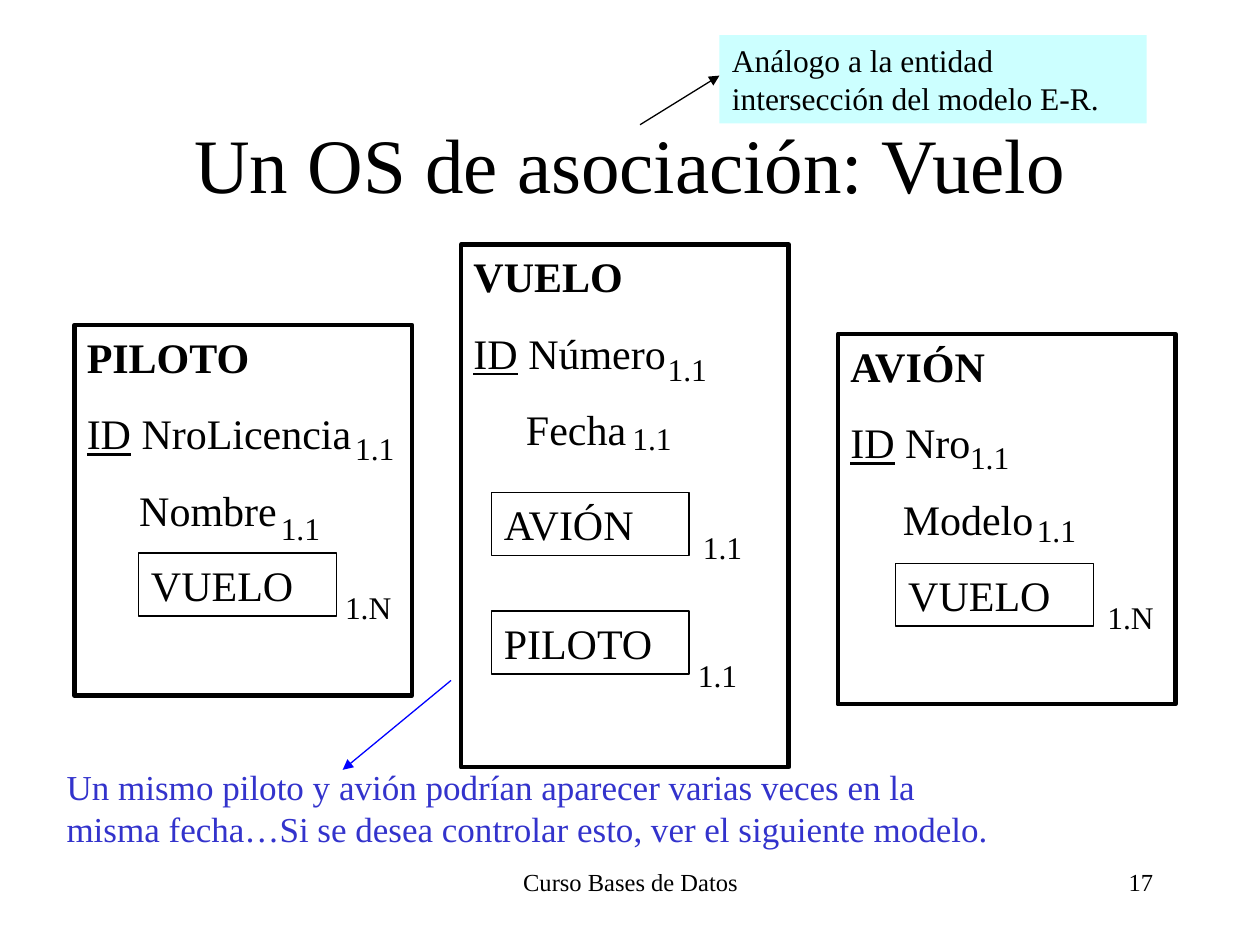
from lxml.etree import SubElement
from pptx import Presentation
from pptx.dml.color import RGBColor
from pptx.enum.shapes import MSO_CONNECTOR, MSO_SHAPE
from pptx.enum.text import MSO_ANCHOR, PP_ALIGN
from pptx.oxml.ns import qn
from pptx.util import Inches, Pt

COLORS = {"ink": "000000", "note": "CCFFFF", "remark": "3333CC", "arrow": "0000FF"}
FONT = "Times New Roman"
CELL = 0.1  # grid of 100 columns by 75 rows
LINK_SIZE = (15.7, 5)
HEADING_GAP = 15
INDENT = 30


def grid(*cells):
    return [Inches(cell * CELL) for cell in cells]


def color(name):
    return RGBColor.from_string(COLORS[name])


class Diagram:
    def __init__(self, slide):
        self.slide = slide

    def add_text(self, paragraph, text, size, ink="ink", bold=False, underline=False):
        run = paragraph.add_run()
        run.text = text
        font = run.font
        font.name, font.size = FONT, Pt(size)
        font.bold, font.underline = bold, underline
        font.color.rgb = color(ink)

    def title(self, text, area):
        title = self.slide.shapes.title
        title.left, title.top, title.width, title.height = grid(*area)
        title.text_frame.vertical_anchor = MSO_ANCHOR.MIDDLE
        paragraph = title.text_frame.paragraphs[0]
        paragraph.alignment = PP_ALIGN.CENTER
        self.add_text(paragraph, text, 44)

    def label(self, text, area, size, ink="ink", align=PP_ALIGN.LEFT, wrap=True):
        frame = self.slide.shapes.add_textbox(*grid(*area)).text_frame
        frame.word_wrap = wrap
        paragraph = frame.paragraphs[0]
        paragraph.alignment = align
        self.add_text(paragraph, text, size, ink)

    def box(self, area, fill=None, border=None):
        """Add a rectangle and return its first, left-aligned paragraph and frame."""
        box = self.slide.shapes.add_shape(MSO_SHAPE.RECTANGLE, *grid(*area))
        box.shadow.inherit = False
        if fill:
            box.fill.solid()
            box.fill.fore_color.rgb = color(fill)
        else:
            box.fill.background()
        if border:
            box.line.color.rgb = color("ink")
            box.line.width = Pt(border)
        else:
            box.line.fill.background()
        frame = box.text_frame
        frame.word_wrap = True
        frame.vertical_anchor = MSO_ANCHOR.TOP
        first = frame.paragraphs[0]
        first.alignment = PP_ALIGN.LEFT
        return first, frame

    def note(self, text, area):
        self.add_text(self.box(area, fill="note")[0], text, 18)

    def entity(self, name, area, key, attribute):
        heading, frame = self.box(area, border=2.5)
        self.add_text(heading, name, 24, bold=True)
        key_line, attribute_line = frame.add_paragraph(), frame.add_paragraph()
        for paragraph in (key_line, attribute_line):
            paragraph.alignment = PP_ALIGN.LEFT
            paragraph.space_before = Pt(HEADING_GAP)
        self.add_text(key_line, "ID", 24, underline=True)
        self.add_text(key_line, f" {key}", 24)
        attribute_line._p.get_or_add_pPr().set("marL", str(Pt(INDENT)))
        self.add_text(attribute_line, attribute, 24)

    def link(self, name, corner):
        """Add the inner box that refers to another entity."""
        self.add_text(self.box((*corner, *LINK_SIZE), border=0.75)[0], name, 24)

    def cardinality(self, text, corner):
        width = 5.7 if text.endswith("N") else 5.1
        self.label(text, (*corner, width, 4), 18, wrap=False)

    def arrow(self, start, end, ink):
        arrow = self.slide.shapes.add_connector(
            MSO_CONNECTOR.STRAIGHT, *grid(*start, *end))
        arrow.line.color.rgb = color(ink)
        arrow.line.width = Pt(0.75)
        SubElement(arrow.line._get_or_add_ln(), qn("a:tailEnd"), type="triangle")
        SubElement(arrow._element.spPr, qn("a:effectLst"))


ENTITIES = [
    ("VUELO", (36.6, 19.4, 26, 41.5), "Número", "Fecha"),
    ("PILOTO", (5.9, 25.8, 26.8, 29.4), "NroLicencia", "Nombre"),
    ("AVIÓN", (66.5, 26.5, 26.8, 29.4), "Nro", "Modelo"),
]
LINKS = [
    ("AVIÓN", (39, 39.1)),
    ("PILOTO", (39, 48.5)),
    ("VUELO", (11, 43.9)),
    ("VUELO", (71.1, 44.7)),
]
CARDINALITIES = {
    "1.1": [(52, 27.3), (49.2, 32.8), (54.8, 41.4), (54.4, 51.6),
            (27.2, 33.6), (21.3, 39.9), (76, 34.3), (81.3, 40.1)],
    "1.N": [(26.4, 46.2), (86.9, 47)],
}


def main():
    deck = Presentation()
    deck.slide_width, deck.slide_height = grid(100, 75)
    diagram = Diagram(deck.slides.add_slide(deck.slide_layouts[5]))

    diagram.title("Un OS de asociación: Vuelo", (7.5, 6.7, 85, 12.5))
    for entity in ENTITIES:
        diagram.entity(*entity)
    for link in LINKS:
        diagram.link(*link)
    for text, corners in CARDINALITIES.items():
        for corner in corners:
            diagram.cardinality(text, corner)

    diagram.arrow((35.8, 54), (27.2, 61.1), "arrow")
    diagram.label("Un mismo piloto y avión podrían aparecer varias veces en la misma "
                  "fecha…Si se desea controlar esto, ver el siguiente modelo.",
                  (4.3, 60.3, 75.6, 7.7), 20, ink="remark")
    diagram.note("Análogo a la entidad intersección del modelo E-R.",
                 (57.1, 2.8, 33.9, 7))
    diagram.arrow((50.8, 9.9), (57.1, 6), "ink")

    diagram.label("Curso Bases de Datos", (34.2, 68.3, 31.7, 5), 14,
                  align=PP_ALIGN.CENTER)
    diagram.label("17", (71.7, 68.3, 20.8, 5), 14, align=PP_ALIGN.RIGHT)
    deck.save("out.pptx")


if __name__ == "__main__":
    main()
